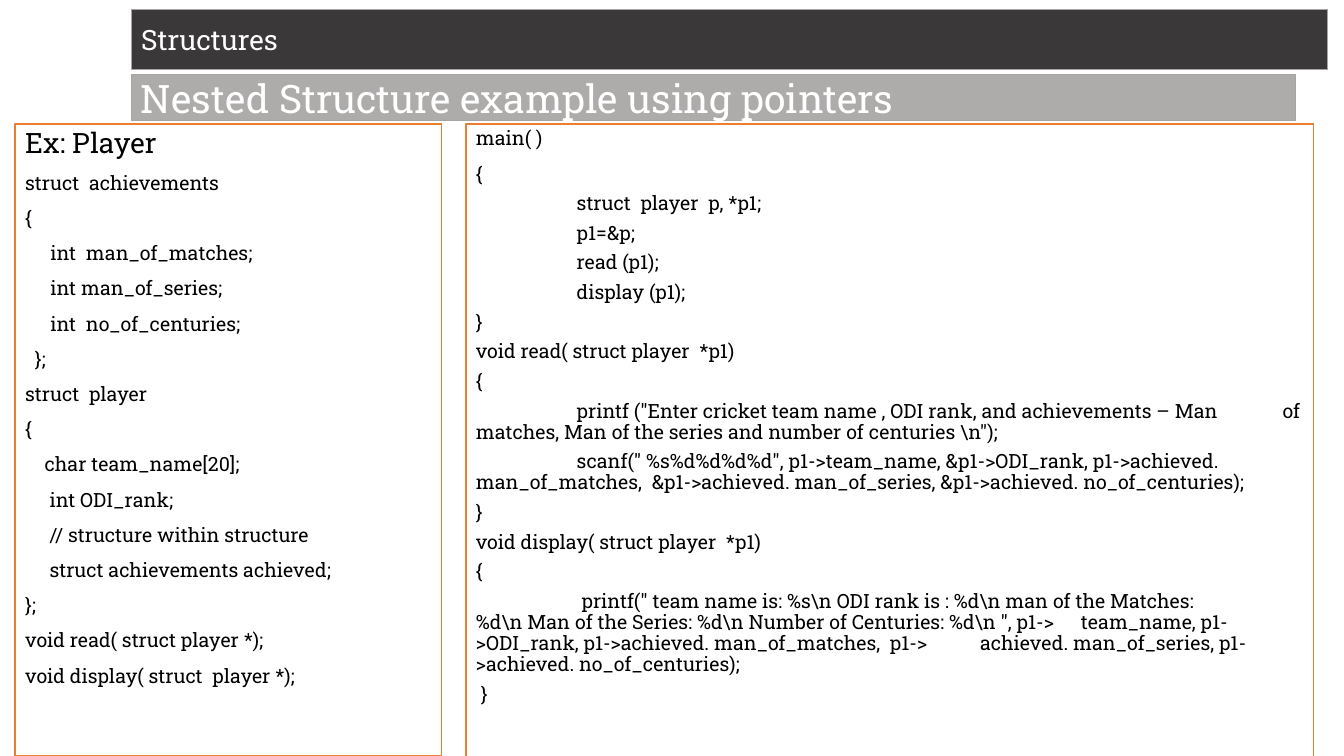
import pptx
import pptx.dml.color
import pptx.enum.shapes
import pptx.enum.text
import pptx.util
from dataclasses import dataclass
from lxml import etree
from pptx.util import Inches


def color(value):
    return pptx.dml.color.RGBColor.from_string(value)


@dataclass(frozen=True)
class Theme:
    font: str = "Roboto Slab"
    text: str = "000000"
    bar_text: str = "FFFFFF"
    panel: str = "FFFFFF"
    panel_line: str = "ED7D31"
    title_bar: str = "3A3838"
    subtitle_bar: str = "AEABAB"
    bar_line: str = "A5A5A5"
    title_size: int = 20
    subtitle_size: int = 28
    heading_size: int = 20
    code_size: int = 14


THEME = Theme()

# Each code line is paired with the space before it, in points
DECLARATIONS = [(line, 10) for line in (
    "struct  achievements",
    "{",
    "    \tint  man_of_matches;",
    "    \tint man_of_series;",
    "\tint  no_of_centuries;",
    "  };",
    "struct  player",
    "{",
    "    char team_name[20];",
    "     int ODI_rank;",
    "     // structure within structure",
    "     struct achievements achieved;",
    "};",
    "void read( struct player *);",
    "void display( struct  player *);",
)]

PROGRAM = [("main( )", 0), ("{", 10)] + [(line, 6) for line in (
    "\tstruct  player  p, *p1;",
    "\tp1=&p;",
    "    \tread (p1);",
    "    \tdisplay (p1);",
    "}",
    "void read( struct player  *p1)",
    "{",
    '\tprintf ("Enter cricket team name , ODI rank, and achievements – Man '
    '\tof matches, Man of the series and number of centuries \\n");',
    '\tscanf(" %s%d%d%d%d", p1->team_name, &p1->ODI_rank, p1->achieved. man_of_matches,  '
    '&p1->achieved. man_of_series, &p1->achieved. no_of_centuries);',
    "}",
    "void display( struct player  *p1)",
    "{",
    ' \t printf(" team name is: %s\\n ODI rank is : %d\\n man of the Matches: '
    '\t%d\\n Man of the Series: %d\\n Number of Centuries: %d\\n ", p1-> '
    '\tteam_name, p1->ODI_rank, p1->achieved. man_of_matches,  p1-> '
    '\tachieved. man_of_series, p1->achieved. no_of_centuries);',
    " }",
)]


def style_box(shape, box, fill, line, line_width):
    shape.left, shape.top, shape.width, shape.height = (Inches(value) for value in box)
    shape.fill.solid()
    shape.fill.fore_color.rgb = color(fill)
    shape.line.color.rgb = color(line)
    shape.line.width = pptx.util.Pt(line_width)
    shape.text_frame.word_wrap = True
    shape.text_frame.auto_size = pptx.enum.text.MSO_AUTO_SIZE.NONE


def style_text(paragraph, size, text_color):
    paragraph.font.name = THEME.font
    paragraph.font.size = pptx.util.Pt(size)
    paragraph.font.color.rgb = color(text_color)


def fill_bar(shape, box, text, fill, size):
    style_box(shape, box, fill, THEME.bar_line, 0.75)
    shape.text_frame.vertical_anchor = pptx.enum.text.MSO_ANCHOR.MIDDLE
    paragraph = shape.text_frame.paragraphs[0]
    paragraph.text = text
    paragraph.alignment = pptx.enum.text.PP_ALIGN.LEFT
    style_text(paragraph, size, THEME.bar_text)


def fill_code_panel(shape, box, lines, indent=0, heading=None):
    style_box(shape, box, THEME.panel, THEME.panel_line, 1)
    entries = [(line, space, THEME.code_size) for line, space in lines]
    if heading:
        entries.insert(0, (heading, 0, THEME.heading_size))
    frame = shape.text_frame
    for index, (line, space, size) in enumerate(entries):
        paragraph = frame.add_paragraph() if index else frame.paragraphs[0]
        paragraph.text = line
        paragraph.line_spacing = 0.9
        paragraph.space_before = pptx.util.Pt(space)
        # Hanging indent without a bullet, tab stops every inch
        properties = paragraph._p.get_or_add_pPr()
        properties.set("marL", str(Inches(indent)))
        properties.set("indent", str(-Inches(indent)))
        properties.set("defTabSz", str(Inches(1)))
        etree.SubElement(properties, pptx.oxml.ns.qn("a:buNone"))
        style_text(paragraph, size, THEME.text)


def build_slide(presentation):
    slide = presentation.slides.add_slide(presentation.slide_layouts.get_by_name("Two Content"))
    title, declarations, program = slide.placeholders

    # Title and subtitle bars
    fill_bar(title, (1.3, 0.09, 11.87, 0.6), "Structures", THEME.title_bar, THEME.title_size)
    subtitle = slide.shapes.add_shape(pptx.enum.shapes.MSO_SHAPE.RECTANGLE, 0, 0, 0, 0)
    subtitle.shadow.inherit = False
    fill_bar(subtitle, (1.3, 0.74, 11.55, 0.46), "Nested Structure example using pointers",
             THEME.subtitle_bar, THEME.subtitle_size)

    # Code panels
    fill_code_panel(declarations, (0.15, 1.23, 4.23, 6.27), DECLARATIONS, 0.25, "Ex: Player")
    fill_code_panel(program, (4.62, 1.23, 8.41, 6.29), PROGRAM)


def main():
    presentation = pptx.Presentation()
    presentation.slide_width = Inches(13.33)
    presentation.slide_height = Inches(7.5)
    build_slide(presentation)
    presentation.save("out.pptx")


if __name__ == "__main__":
    main()
